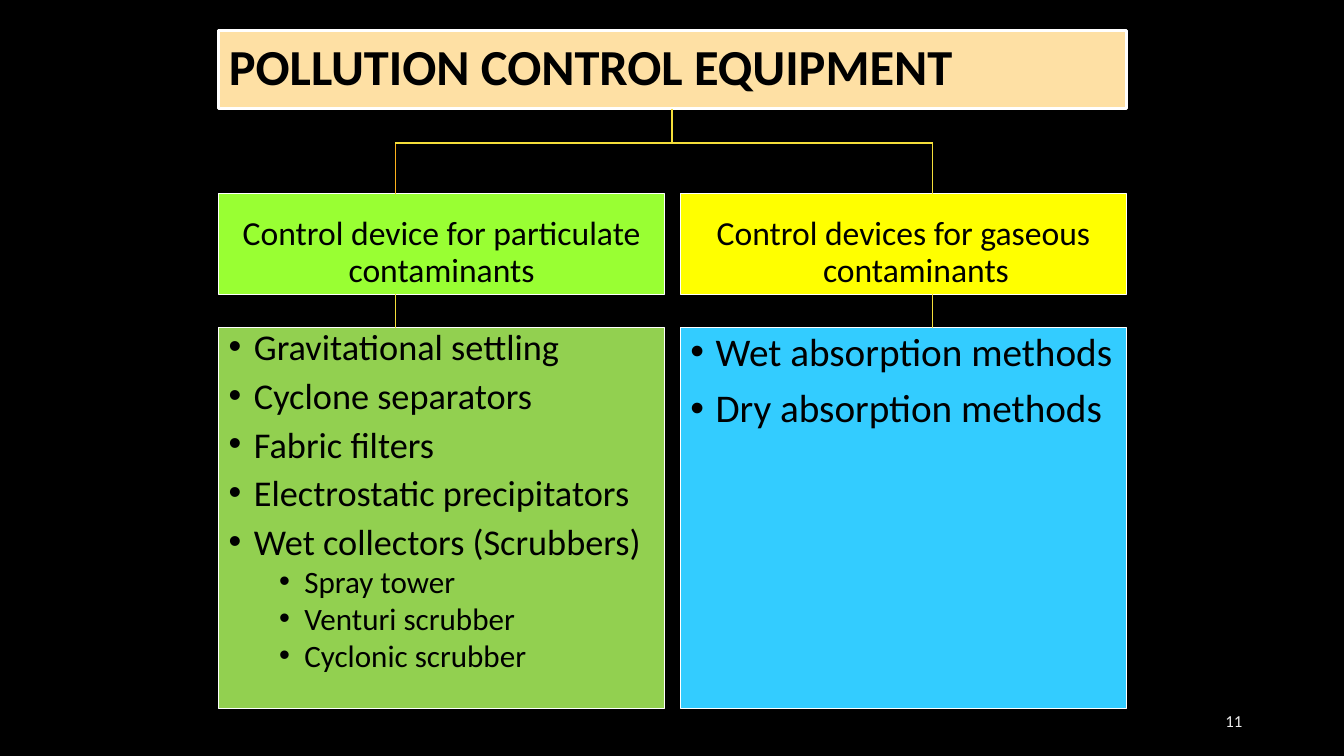
"""Build the pollution control equipment slide: a title branching into two device families."""
from lxml import etree
from pptx import Presentation
from pptx import util as u
from pptx.dml.color import RGBColor
from pptx.enum import shapes, text
from pptx.oxml.ns import qn

BLACK = RGBColor(0, 0, 0)
WHITE = RGBColor(255, 255, 255)
PEACH = RGBColor(0xFE, 0xE0, 0xA4)
LIME = RGBColor(0x99, 0xFF, 0x33)
GREEN = RGBColor(0x92, 0xD0, 0x50)
YELLOW = RGBColor(0xFF, 0xFF, 0)
SKY = RGBColor(0x33, 0xCC, 0xFF)
GOLD = RGBColor(0xF4, 0xDE, 0x3A)
AMBER = RGBColor(0xFC, 0xB1, 0x1C)
PALE = RGBColor(0xED, 0xED, 0xED)
FONT = "Calibri"

TITLE = "POLLUTION CONTROL EQUIPMENT"
PAGE = "11"
FAMILIES = [
    dict(heading="Control device for particulate contaminants", heading_fill=LIME,
         heading_hang=0, list_fill=GREEN, sizes=(25.9, 22.2), spacing=0.8,
         stem=3.92, stem_color=AMBER,
         devices=[(0, "Gravitational settling"), (0, "Cyclone separators"),
                  (0, "Fabric filters"), (0, "Electrostatic precipitators"),
                  (0, "Wet collectors (Scrubbers)"), (1, "Spray tower"),
                  (1, "Venturi scrubber"), (1, "Cyclonic scrubber")]),
    dict(heading="Control devices for gaseous contaminants", heading_fill=YELLOW,
         heading_hang=0.25, list_fill=SKY, sizes=(28, 24), spacing=0.9,
         stem=9.25, stem_color=GOLD,
         devices=[(0, "Wet absorption methods"), (0, "Dry absorption methods")]),
]

SLIDE_W, SLIDE_H = 13.33, 7.5
LEFT, WIDTH, GUTTER = 2.17, 9, 0.16
COLUMN = (WIDTH - GUTTER) / 2
TITLE_TOP, TITLE_H = 0.3, 0.78
BRANCH_Y = 1.42
HEADING_TOP, HEADING_H = 1.92, 1
LIST_TOP, LIST_H = 3.25, 3.78
HANG = 0.25


def paint(box, fill, line_width):
    box.fill.solid()
    box.fill.fore_color.rgb = fill
    box.line.color.rgb = WHITE
    box.line.width = u.Pt(line_width)


def style(paragraph, size, color=BLACK, spacing=None, align=text.PP_ALIGN.LEFT):
    paragraph.alignment = align
    paragraph.line_spacing = spacing
    paragraph.font.name = FONT
    paragraph.font.size = u.Pt(size)
    paragraph.font.color.rgb = color


def hang(paragraph, margin, bullet=None):
    props = paragraph._p.get_or_add_pPr()
    props.set("marL", str(u.Inches(margin)))
    props.set("indent", str(-u.Inches(HANG)))
    if bullet:
        etree.SubElement(props, qn("a:buFont"), typeface="Arial")
        etree.SubElement(props, qn("a:buChar"), char=bullet)


def panel(slide, left, top, height, fill, anchor):
    box = slide.shapes.add_shape(shapes.MSO_SHAPE.RECTANGLE, *map(u.Inches, (left, top, COLUMN, height)))
    box.shadow.inherit = False
    paint(box, fill, 0.75)
    box.text_frame.word_wrap = True
    box.text_frame.vertical_anchor = anchor
    return box.text_frame


def link(slide, x1, y1, x2, y2, color=GOLD):
    line = slide.shapes.add_connector(shapes.MSO_CONNECTOR.STRAIGHT, *map(u.Inches, (x1, y1, x2, y2)))
    line.line.color.rgb = color
    line.line.width = u.Pt(1)
    etree.SubElement(line._element.spPr, qn("a:effectLst"))


def add_title(slide):
    title = slide.shapes.title
    title.left, title.top, title.width, title.height = map(u.Inches, (LEFT, TITLE_TOP, WIDTH, TITLE_H))
    paint(title, PEACH, 2.25)
    title.text_frame.text = TITLE
    title.text_frame.vertical_anchor = text.MSO_ANCHOR.MIDDLE
    heading = title.text_frame.paragraphs[0]
    style(heading, 36, spacing=0.9)
    heading.font.bold = True


def add_family(slide, column, family):
    left = LEFT + column * (COLUMN + GUTTER)
    frame = panel(slide, left, HEADING_TOP, HEADING_H, family["heading_fill"], text.MSO_ANCHOR.BOTTOM)
    frame.text = family["heading"]
    if family["heading_hang"]:
        hang(frame.paragraphs[0], family["heading_hang"])
    style(frame.paragraphs[0], 24, spacing=0.9, align=text.PP_ALIGN.CENTER)

    frame = panel(slide, left, LIST_TOP, LIST_H, family["list_fill"], text.MSO_ANCHOR.TOP)
    for index, (level, device) in enumerate(family["devices"]):
        paragraph = frame.add_paragraph() if index else frame.paragraphs[0]
        paragraph.text = device
        paragraph.level = level
        hang(paragraph, HANG + level * 0.5, "•")
        style(paragraph, family["sizes"][level], spacing=family["spacing"])
        if index:
            paragraph.space_before = u.Pt(5 if level else 10)

    stem = family["stem"]
    link(slide, stem, BRANCH_Y, stem, HEADING_TOP, family["stem_color"])
    link(slide, stem, HEADING_TOP + HEADING_H, stem, LIST_TOP)


def add_page_number(slide):
    box = slide.shapes.add_textbox(*map(u.Inches, (9.42, 6.95, 3, 0.4)))
    box.text_frame.word_wrap = True
    box.text_frame.vertical_anchor = text.MSO_ANCHOR.MIDDLE
    box.text_frame.text = PAGE
    style(box.text_frame.paragraphs[0], 12, PALE, align=text.PP_ALIGN.RIGHT)


def main():
    deck = Presentation()
    deck.slide_width, deck.slide_height = u.Inches(SLIDE_W), u.Inches(SLIDE_H)
    slide = deck.slides.add_slide(deck.slide_layouts[5])
    slide.background.fill.solid()
    slide.background.fill.fore_color.rgb = BLACK
    add_title(slide)
    for column, family in enumerate(FAMILIES):
        add_family(slide, column, family)
    link(slide, FAMILIES[0]["stem"], BRANCH_Y, FAMILIES[1]["stem"], BRANCH_Y)
    link(slide, SLIDE_W / 2, TITLE_TOP + TITLE_H, SLIDE_W / 2, BRANCH_Y)
    add_page_number(slide)
    deck.save("out.pptx")


if __name__ == "__main__":
    main()
